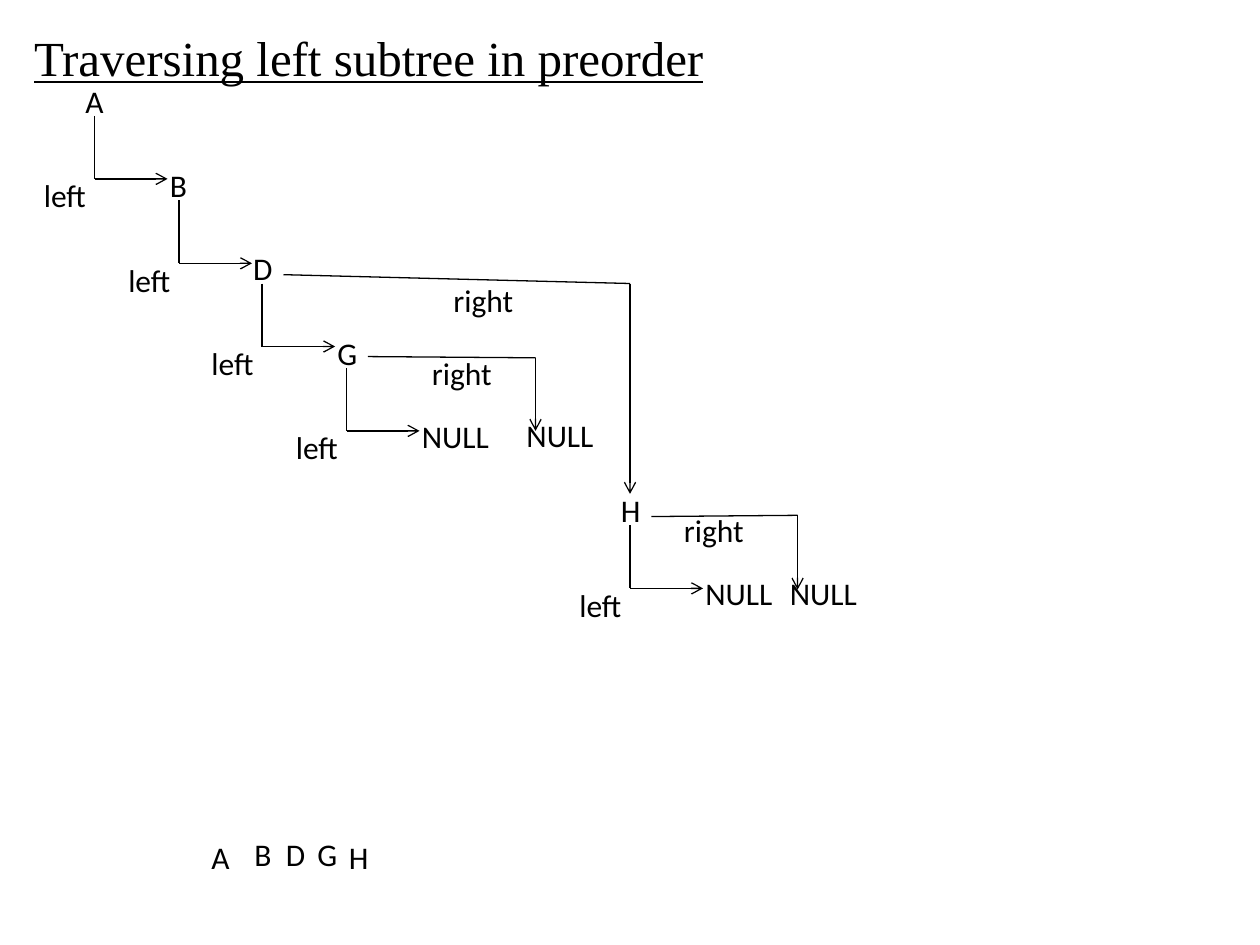
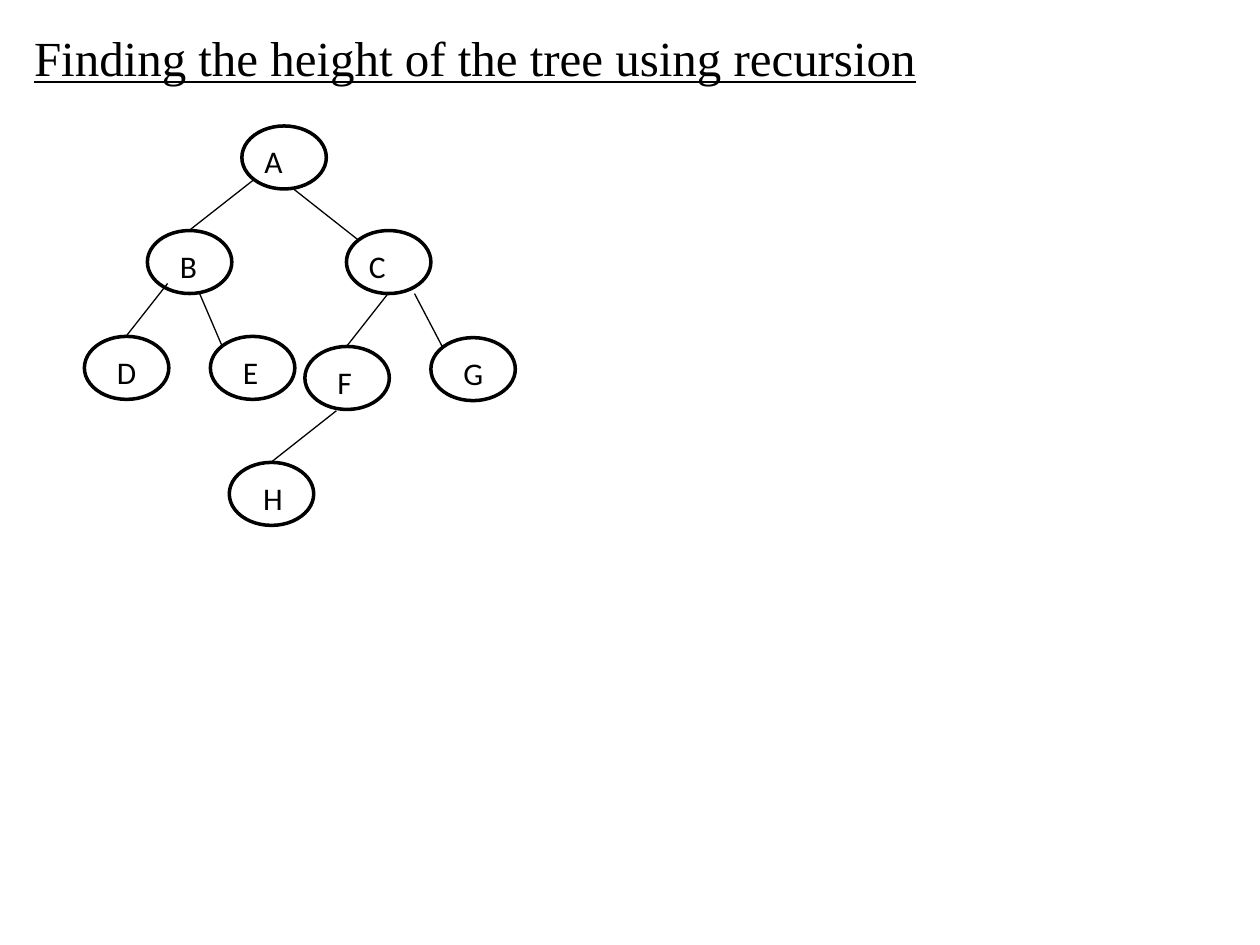
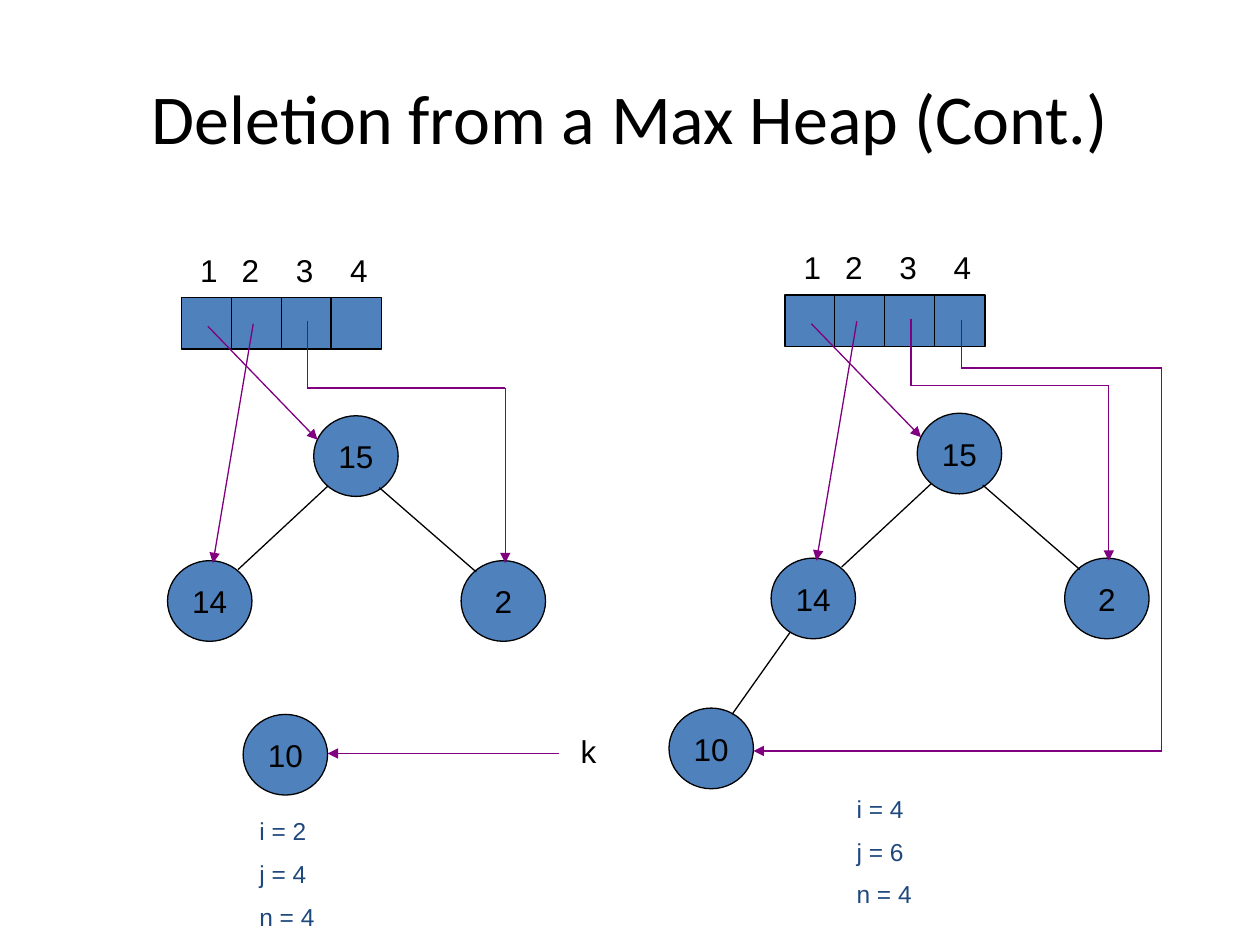
from lxml import etree
from pptx import Presentation
from pptx import util as u
from pptx.dml.color import RGBColor
from pptx.enum import shapes, text
from pptx.oxml.ns import qn

# Shared style
HUES = {"ink": "000000", "paper": "FFFFFF", "node": "4F81BD",
        "link": "800080", "state": "1F497D"}
SANS, SERIF, PLAIN = "Calibri", "Times New Roman", "Arial"

# Slide 1: preorder walk; each stem is where a node's left branch starts
WALK = "Traversing left subtree in preorder"
STEMS = [("A", 0.75, 0.92, "B"), ("B", 1.42, 1.59, "D"), ("D", 2.08, 2.25, "G"),
         ("G", 2.75, 2.92, "NULL"), ("H", 5, 4.17, "NULL")]
# start of line, corner, arrow end, place of the word "right"
RIGHTS = [((2.92, 2.83), (4.25, 2.84), (4.25, 3.42), (3.33, 2.76)),
          ((2.25, 2.18), (5, 2.25), (5, 3.92), (3.5, 2.18)),
          ((5.17, 4.1), (6.33, 4.09), (6.33, 4.68), (5.33, 4.01))]
NULLS = [(4.08, 3.25), (6.17, 4.51)]
ORDER = [("A", 1.58, 6.6), ("B", 1.92, 6.58), ("D", 2.17, 6.58),
         ("G", 2.42, 6.58), ("H", 2.67, 6.6)]

# Slide 2: name, left, top, inset of the letter
HEIGHT = "Finding the height of the tree using recursion"
TREE = [("A", 1.92, 1, 0.08), ("B", 1.17, 1.83, 0.16), ("C", 2.75, 1.83, 0.08),
        ("D", 0.67, 2.67, 0.16), ("E", 1.67, 2.67, 0.16), ("F", 2.42, 2.75, 0.16),
        ("G", 3.42, 2.68, 0.16), ("H", 1.82, 3.67, 0.17)]
EDGES = [((2.01, 1.43), (1.5, 1.83)), ((2.33, 1.5), (2.85, 1.91)),
         ((1.58, 2.32), (1.76, 2.74)), ((1.33, 2.25), (1, 2.67)),
         ((3.29, 2.33), (3.51, 2.75)), ((3.08, 2.33), (2.75, 2.75)),
         ((2.67, 3.26), (2.15, 3.67))]

# Slide 3: the heap drawn twice, the second one shifted
HEAP = "Deletion from a Max Heap (Cont.)"
NODES = [("15", 2.49, 3.3), ("14", 1.33, 4.45), ("2", 3.66, 4.45)]
LIMBS = [((2.6, 3.86), (1.89, 4.52)), ((3.01, 3.87), (3.78, 4.54))]
SLOTS = [("1", 1.49), ("2", 1.82), ("3", 2.25), ("4", 2.68)]
LINKS = [[(1.65, 2.59), (2.52, 3.49)], [(2.01, 2.57), (1.69, 4.47)],
         [(2.44, 2.55), (2.44, 3.08), (4.01, 3.08), (4.01, 4.47)]]
PANELS = [
    {"shift": (0, 0), "last": (1.93, 5.67), "path_k": [(4.44, 5.98), (2.6, 5.98)],
     "state": ["i = 2", "j = 4", "n = 4"], "at": (1.96, 6.43)},
    {"shift": (4.79, -0.02), "last": (5.31, 5.62),
     "path_k": [(7.63, 2.54), (7.63, 2.92), (9.22, 2.92), (9.22, 5.96), (5.98, 5.96)],
     "state": ["i = 4", "j = 6", "n = 4"], "at": (6.7, 6.25)},
]
LIMB = ((6.27, 5.02), (5.81, 5.67))


def color(name):
    return RGBColor.from_string(HUES[name])


def style(frame, size, face, hue="ink", line=False):
    for para in frame.paragraphs:
        for run in para.runs:
            run.font.size, run.font.name = u.Pt(size), face
            run.font.color.rgb = color(hue)
            if line:
                run.font.underline = True


def place(shape, *box):
    shape.left, shape.top, shape.width, shape.height = map(u.Inches, box)


def write(slide, words, x, y, wide=0.42, face=SANS, size=18, hue="ink", high=0.4):
    box = slide.shapes.add_textbox(*map(u.Inches, (x, y, wide, high)))
    frame = box.text_frame
    frame.word_wrap = True
    frame.auto_size = text.MSO_AUTO_SIZE.SHAPE_TO_FIT_TEXT
    frame.text = words
    for para in frame.paragraphs[1:]:
        para.space_before = u.Pt(7.7)
    style(frame, size, face, hue)


def route(slide, points, hue="ink", tip=None):
    """Join the points with straight lines; the last may carry an arrowhead."""
    for i, (start, end) in enumerate(zip(points, points[1:]), 2):
        line = slide.shapes.add_connector(
            shapes.MSO_CONNECTOR.STRAIGHT, *map(u.Inches, (*start, *end)))
        line.line.color.rgb = color(hue)
        line.line.width = u.Pt(0.75)
        if tip and i == len(points):
            etree.SubElement(line.line._get_or_add_ln(), qn("a:tailEnd"), type=tip)
        etree.SubElement(line._element.spPr, qn("a:effectLst"))


def block(slide, kind, box, fill, width, words=""):
    shape = slide.shapes.add_shape(kind, *map(u.Inches, box))
    shape.shadow.inherit = False
    shape.fill.solid()
    shape.fill.fore_color.rgb = color(fill)
    shape.line.color.rgb = color("ink")
    shape.line.width = u.Pt(width)
    if words:
        frame = shape.text_frame
        frame.text = words
        frame.word_wrap = False
        frame.vertical_anchor = text.MSO_ANCHOR.MIDDLE
        frame.paragraphs[0].alignment = text.PP_ALIGN.CENTER
        style(frame, 18, PLAIN)


def topic(deck, words, high):
    """Add a slide whose body placeholder holds an underlined heading."""
    slide = deck.slides.add_slide(deck.slide_layouts[1])
    title = slide.shapes.title._element
    title.getparent().remove(title)
    body = slide.placeholders[1]
    place(body, 0.17, 0.17, 9.67, high)
    body.text_frame.text = words
    props = body.text_frame.paragraphs[0]._p.get_or_add_pPr()
    etree.SubElement(props, qn("a:buNone"))
    style(body.text_frame, 28, SERIF, line=True)
    return slide


def walk(deck):
    slide = topic(deck, WALK, 7.17)
    for name, x, y, child in STEMS:
        write(slide, name, x - 0.17, y - 0.32)
        route(slide, [(x, y), (x, y + 0.5), (x + 0.58, y + 0.5)], tip="arrow")
        write(slide, "left", x - 0.5, y + 0.43, 0.83)
        if child == "NULL":
            write(slide, child, x + 0.5, y + 0.34, 0.75)
    for start, bend, end, spot in RIGHTS:
        route(slide, [start, bend, end], tip="arrow")
        write(slide, "right", *spot, 0.83)
    for spot in NULLS:
        write(slide, "NULL", *spot, 0.75)
    for name, x, y in ORDER:
        write(slide, name, x, y)


def height(deck):
    slide = topic(deck, HEIGHT, 7.08)
    for name, x, y, inset in TREE:
        block(slide, shapes.MSO_SHAPE.OVAL, (x, y, 0.67, 0.5), "paper", 2)
        write(slide, name, x + inset, y + 0.08, 0.5)
    for edge in EDGES:
        route(slide, edge)


def heap(deck):
    slide = deck.slides.add_slide(deck.slide_layouts[5])
    title = slide.shapes.title
    place(title, 0.5, 0.3, 9, 1.25)
    title.text_frame.text = HEAP
    style(title.text_frame, 40, SANS)

    for panel in PANELS:
        dx, dy = panel["shift"]

        def move(points):
            return [(x + dx, y + dy) for x, y in points]

        # Tree
        spots = move([(x, y) for _, x, y in NODES]) + [panel["last"]]
        for name, spot in zip([n[0] for n in NODES] + ["10"], spots):
            block(slide, shapes.MSO_SHAPE.OVAL, (*spot, 0.67, 0.64), "node", 0.75, name)
        for limb in LIMBS:
            route(slide, move(limb))

        # Array and its links
        for i, (name, x) in enumerate(SLOTS):
            cell = (1.44 + dx + i * 0.396, 2.36 + dy, 0.4, 0.41)
            block(slide, shapes.MSO_SHAPE.RECTANGLE, cell, "node", 0.75)
            write(slide, name, x + dx, 1.94 + dy, 0.31, PLAIN)
        for link in LINKS:
            route(slide, move(link), "link", "triangle")
        route(slide, panel["path_k"], "link", "triangle")
        write(slide, "\n".join(panel["state"]), *panel["at"], 0.97, PLAIN, 14, "state", 1.03)

    route(slide, LIMB)
    write(slide, "k", 4.51, 5.76, 0.43, PLAIN)


def main():
    deck = Presentation()
    deck.slide_width, deck.slide_height = u.Inches(10), u.Inches(7.5)
    walk(deck)
    height(deck)
    heap(deck)
    deck.save("out.pptx")


if __name__ == "__main__":
    main()
